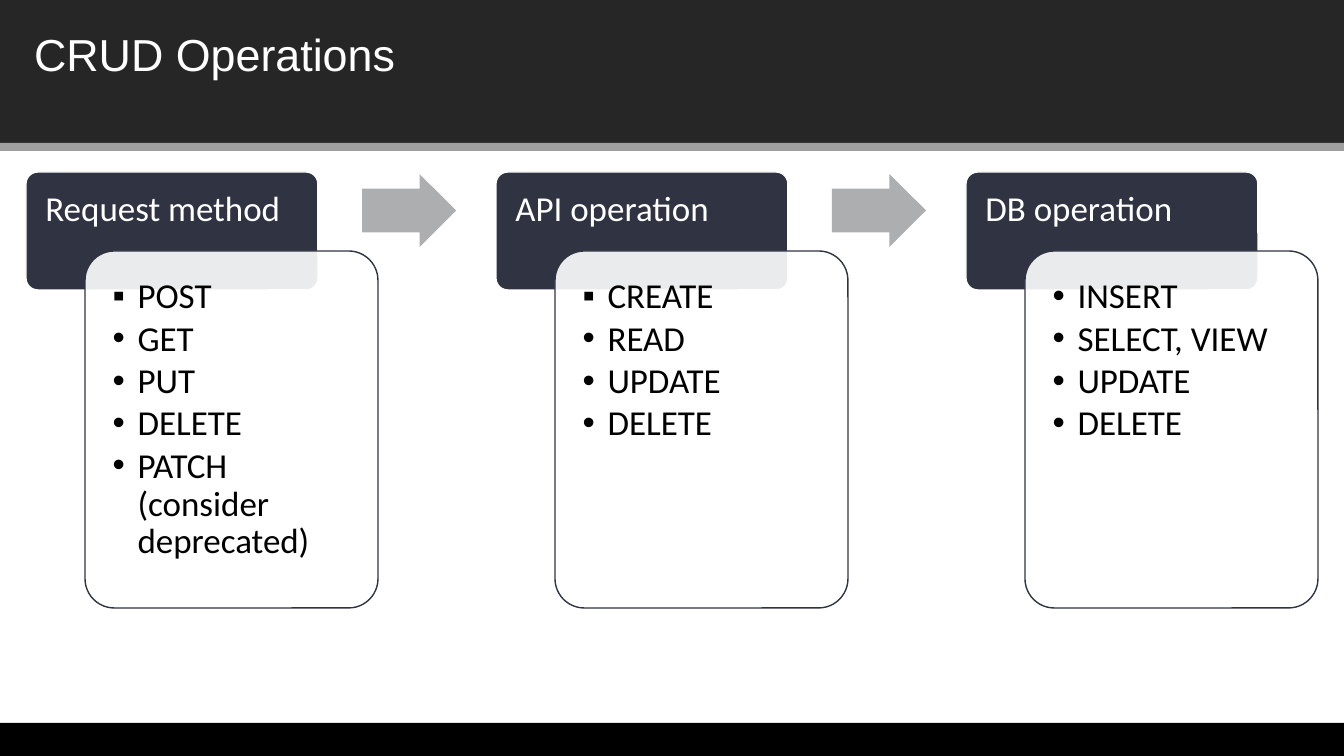
from lxml import etree
from pptx import Presentation
from pptx.dml.color import RGBColor
from pptx.enum.shapes import MSO_SHAPE
from pptx.enum.text import MSO_ANCHOR, MSO_AUTO_SIZE, PP_ALIGN
from pptx.oxml.ns import qn
from pptx.util import Pt

RECT = MSO_SHAPE.RECTANGLE
ROUNDED = MSO_SHAPE.ROUNDED_RECTANGLE
ARROW = MSO_SHAPE.RIGHT_ARROW
PX = 9144000 / 1008  # 100.8 px to the inch
NAVY = "2F3342"


def add_block(kind, box, fill, line=None, adjust=()):
    block = slide.shapes.add_shape(kind, *[round(v * PX) for v in box])
    block.shadow.inherit = False
    block.fill.solid()
    block.fill.fore_color.rgb = RGBColor.from_string(fill)
    if line:
        block.line.color.rgb = RGBColor.from_string(line)
        block.line.width = Pt(1)
    else:
        block.line.fill.background()
    for i, value in enumerate(adjust):
        block.adjustments[i] = value
    return block


def write(shape, lines, size, color, font, inset, bullets="", spacing=None, after=0):
    frame = shape.text_frame
    frame.word_wrap = True
    frame.auto_size = MSO_AUTO_SIZE.NONE
    frame.vertical_anchor = MSO_ANCHOR.TOP
    frame.margin_left = frame.margin_right = round(inset[0] * PX)
    frame.margin_top = frame.margin_bottom = round(inset[1] * PX)
    for i, line in enumerate(lines):
        par = frame.paragraphs[0] if i == 0 else frame.add_paragraph()
        par.text = line
        par.alignment = PP_ALIGN.LEFT
        par.line_spacing = spacing
        par.space_before = Pt(0)
        par.space_after = Pt(after)
        if bullets:
            props = par._p.get_or_add_pPr()
            props.set("marL", str(round(25 * PX)))
            props.set("indent", str(round(-25 * PX)))
            etree.SubElement(props, qn("a:buFont"), typeface="Arial")
            etree.SubElement(props, qn("a:buChar"), char=bullets[min(i, len(bullets) - 1)])
        par.font.size = Pt(size)
        par.font.name = font
        par.font.color.rgb = RGBColor.from_string(color)


prs = Presentation()
prs.slide_width = round(1344 * PX)
prs.slide_height = round(756 * PX)
slide = prs.slides.add_slide(prs.slide_layouts[5])

# Bands at the top and bottom
add_block(RECT, (0, 0, 1344, 143), "262626")
add_block(RECT, (0, 143, 1344, 8), "9F9F9F")
add_block(RECT, (0, 723, 1344, 33), "000000")

# Title, brought in front of the dark band
title = slide.shapes.title
title.left, title.top, title.width, title.height = [
    round(v * PX) for v in (24, 22, 1294, 64)]
write(title, ["CRUD Operations"], 32, "FFFFFF", "Arial", (10, 5))
slide.shapes._spTree.append(title._element)

# Three stages, each with a header and a list panel, joined by arrows
stages = [
    ("Request method", "▪•", ["POST", "GET", "PUT", "DELETE", "PATCH (consider deprecated)"]),
    ("API operation", "▪•", ["CREATE", "READ", "UPDATE", "DELETE"]),
    ("DB operation", "•", ["INSERT", "SELECT, VIEW", "UPDATE", "DELETE"]),
]
for i, (name, bullets, operations) in enumerate(stages):
    left = 26 + 470 * i
    header = add_block(ROUNDED, (left, 172, 292, 118), NAVY, "FFFFFF", [0.1])
    write(header, [name], 25, "FFFFFF", "Calibri", (16, 16), spacing=0.9)

    panel = add_block(ROUNDED, (left + 59, 251, 293, 357), "FFFFFF", NAVY, [0.1])
    tint = panel.fill._xPr.find(qn("a:solidFill"))[0]
    etree.SubElement(tint, qn("a:alpha"), val="90000")
    write(panel, operations, 25, "000000", "Calibri", (19, 19),
          bullets=bullets, spacing=0.9, after=3.3)

    if i < len(stages) - 1:
        add_block(ARROW, (left + 336, 174, 94, 73), "ADAEB0", adjust=[0.6, 0.5])

prs.save("out.pptx")
